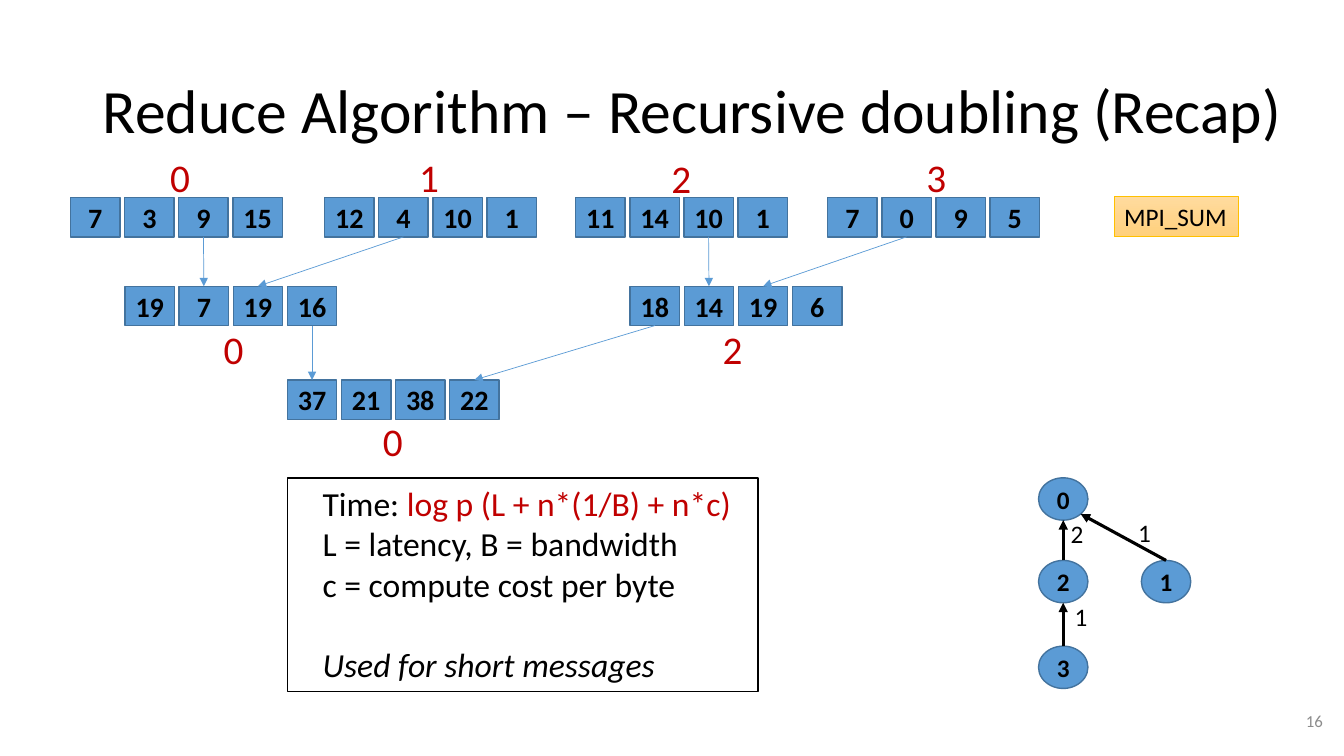
from math import sqrt

from lxml.etree import SubElement
from pptx import Presentation
from pptx.dml.color import RGBColor
from pptx.enum.shapes import MSO_CONNECTOR, MSO_SHAPE
from pptx.enum.text import MSO_ANCHOR, PP_ALIGN
from pptx.oxml.ns import qn
from pptx.util import Inches, Pt

COLORS = {
    "black": "000000", "white": "FFFFFF", "red": "C00000", "gray": "8C8C8C",
    "blue": "5B9BD5", "outline": "43739E", "gold": "FFC000",
    "gold light": "FFDB9E", "gold deep": "FFD07C",
}
FONT = "Calibri"
TITLE = "Reduce Algorithm – Recursive doubling (Recap)"

# name: (left, top, cell values, rank label, label left, label top)
ARRAYS = {
    "rank 0": (0.70, 1.96, (7, 3, 9, 15), "0", 1.59, 1.47),
    "rank 1": (3.22, 1.96, (12, 4, 10, 1), "1", 4.06, 1.47),
    "rank 2": (5.71, 1.96, (11, 14, 10, 1), "2", 6.56, 1.48),
    "rank 3": (8.21, 1.96, (7, 0, 9, 5), "3", 9.09, 1.47),
    "sum 0+1": (1.24, 2.84, (19, 7, 19, 16), "0", 2.12, 3.18),
    "sum 2+3": (6.25, 2.84, (18, 14, 19, 6), "2", 7.07, 3.18),
    "total": (2.85, 3.77, (37, 21, 38, 22), "0", 3.70, 4.09),
}
# (source array, cell) -> (target array, cell)
SENDS = [
    (("rank 0", 2), ("sum 0+1", 1)),
    (("rank 1", 1), ("sum 0+1", 2)),
    (("rank 2", 2), ("sum 2+3", 1)),
    (("rank 3", 1), ("sum 2+3", 2)),
    (("sum 0+1", 3), ("total", 0)),
    (("sum 2+3", 0), ("total", 3)),
]
CELL_WIDTH, CELL_HEIGHT = 0.49, 0.39
CELL_PITCH = 1.61 / 3

# rank: (left, top)
NODES = {"0": (10.3, 4.74), "2": (10.3, 5.56), "3": (10.3, 6.41), "1": (11.32, 5.56)}
NODE_WIDTH, NODE_HEIGHT = 0.49, 0.42
# (child, parent, step, step left, step top)
EDGES = [
    ("2", "0", "2", 10.52, 5.09),
    ("1", "0", "1", 11.19, 5.08),
    ("3", "2", "1", 10.56, 5.92),
]
# Each line holds (text, colour, italic) spans
COST_LINES = [
    [("Time: ", "black", False), ("log p (L + n*(1/B) + n*c)", "red", False)],
    [("L = latency, B = bandwidth", "black", False)],
    [("c = compute cost per byte", "black", False)],
    [("Used for short messages", "black", True)],
]


def rgb(name):
    return RGBColor.from_string(COLORS[name])


def style(span, size, color="black", bold=False, italic=False):
    font = span.font
    font.name, font.size, font.bold, font.italic = FONT, Pt(size), bold, italic
    font.color.rgb = rgb(color)


def write(shape, text, size, color="black", bold=False, align=PP_ALIGN.LEFT):
    shape.text_frame.text = text
    para = shape.text_frame.paragraphs[0]
    para.alignment = align
    style(para.runs[0], size, color, bold)


def add_label(slide, text, left, top, width, height, size, color="black",
              align=PP_ALIGN.LEFT, wrap=True):
    box = slide.shapes.add_textbox(*map(Inches, (left, top, width, height)))
    box.text_frame.word_wrap = wrap
    write(box, text, size, color, align=align)
    return box


def add_block(slide, kind, left, top, width, height, fill, line, line_width=1):
    shape = slide.shapes.add_shape(kind, *map(Inches, (left, top, width, height)))
    shape.shadow.inherit = False
    shape.fill.solid()
    shape.fill.fore_color.rgb = rgb(fill)
    shape.line.color.rgb = rgb(line)
    shape.line.width = Pt(line_width)
    return shape


def add_number(slide, kind, text, left, top, width, height, size):
    """Add a blue block with a bold number in its middle."""
    shape = add_block(slide, kind, left, top, width, height, "blue", "outline")
    frame = shape.text_frame
    frame.margin_left = frame.margin_right = 0
    frame.margin_top = frame.margin_bottom = 0
    frame.vertical_anchor = MSO_ANCHOR.MIDDLE
    write(shape, text, size, bold=True, align=PP_ALIGN.CENTER)
    return shape


def add_arrow(slide, start, end, color, width):
    arrow = slide.shapes.add_connector(
        MSO_CONNECTOR.STRAIGHT, *map(Inches, (*start, *end)))
    arrow.line.color.rgb = rgb(color)
    arrow.line.width = Pt(width)
    SubElement(arrow.line._get_or_add_ln(), qn("a:tailEnd"), type="triangle")
    SubElement(arrow._element.spPr, qn("a:effectLst"))
    return arrow


def add_title(slide):
    title = slide.shapes.title
    title.left, title.top, title.width, title.height = map(
        Inches, (0.92, 0.4, 12.03, 1.45))
    title.text_frame.vertical_anchor = MSO_ANCHOR.MIDDLE
    write(title, TITLE, 44)
    title.text_frame.paragraphs[0].line_spacing = 0.9


def add_arrays(slide):
    cells = {}
    for name, (left, top, values, rank, rank_left, rank_top) in ARRAYS.items():
        for index, value in enumerate(values):
            cells[name, index] = add_number(
                slide, MSO_SHAPE.RECTANGLE, str(value), left + index * CELL_PITCH,
                top, CELL_WIDTH, CELL_HEIGHT, 20)
        add_label(slide, rank, rank_left, rank_top, 0.33, 0.57, 28, "red")
    for source, target in SENDS:
        arrow = add_arrow(slide, (0, 0), (1, 1), "blue", 0.5)
        arrow.begin_connect(cells[source], 2)
        arrow.end_connect(cells[target], 0)


def add_tree(slide):
    for rank, (left, top) in NODES.items():
        add_number(slide, MSO_SHAPE.OVAL, rank, left, top, NODE_WIDTH, NODE_HEIGHT, 18)
    for child, parent, step, step_left, step_top in EDGES:
        child_left, child_top = NODES[child]
        left, top = NODES[parent]
        end_x, end_y = left + NODE_WIDTH / 2, top + NODE_HEIGHT
        if child_left > left:  # a side branch ends on the lower right of the oval
            end_x += NODE_WIDTH / 2 / sqrt(2)
            end_y -= NODE_HEIGHT / 2 * (1 - 1 / sqrt(2))
        start = (child_left + NODE_WIDTH / 2, child_top)
        add_arrow(slide, start, (end_x, end_y), "black", 2.25)
        add_label(slide, step, step_left, step_top, 0.33, 0.4, 18, wrap=False)


def add_cost(slide):
    box = add_block(slide, MSO_SHAPE.RECTANGLE, 2.85, 4.74, 4.67, 2.12, "white", "black")
    frame = box.text_frame
    frame.vertical_anchor = MSO_ANCHOR.TOP
    frame.margin_left = Inches(0.35)
    for index, spans in enumerate(COST_LINES):
        para = frame.paragraphs[0] if index == 0 else frame.add_paragraph()
        para.alignment = PP_ALIGN.LEFT
        for text, color, italic in spans:
            span = para.add_run()
            span.text = text
            style(span, 24, color, italic=italic)
    frame.paragraphs[-1].space_before = Pt(29)


def add_operation(slide):
    box = add_block(slide, MSO_SHAPE.RECTANGLE, 11.05, 1.95, 1.23, 0.4,
                    "gold light", "gold", 0.5)
    box.fill.gradient()
    box.fill.gradient_angle = 270
    for stop, color in zip(box.fill.gradient_stops, ("gold light", "gold deep")):
        stop.color.rgb = rgb(color)
    box.text_frame.word_wrap = False
    write(box, "MPI_SUM", 18)


def main():
    deck = Presentation()
    deck.slide_width, deck.slide_height = Inches(13.33), Inches(7.5)
    slide = deck.slides.add_slide(deck.slide_layouts[5])
    add_title(slide)
    add_arrays(slide)
    add_cost(slide)
    add_tree(slide)
    add_operation(slide)
    number = add_label(slide, "16", 10.22, 6.95, 3, 0.4, 12, "gray", PP_ALIGN.RIGHT)
    number.text_frame.vertical_anchor = MSO_ANCHOR.MIDDLE
    deck.save("out.pptx")


if __name__ == "__main__":
    main()
